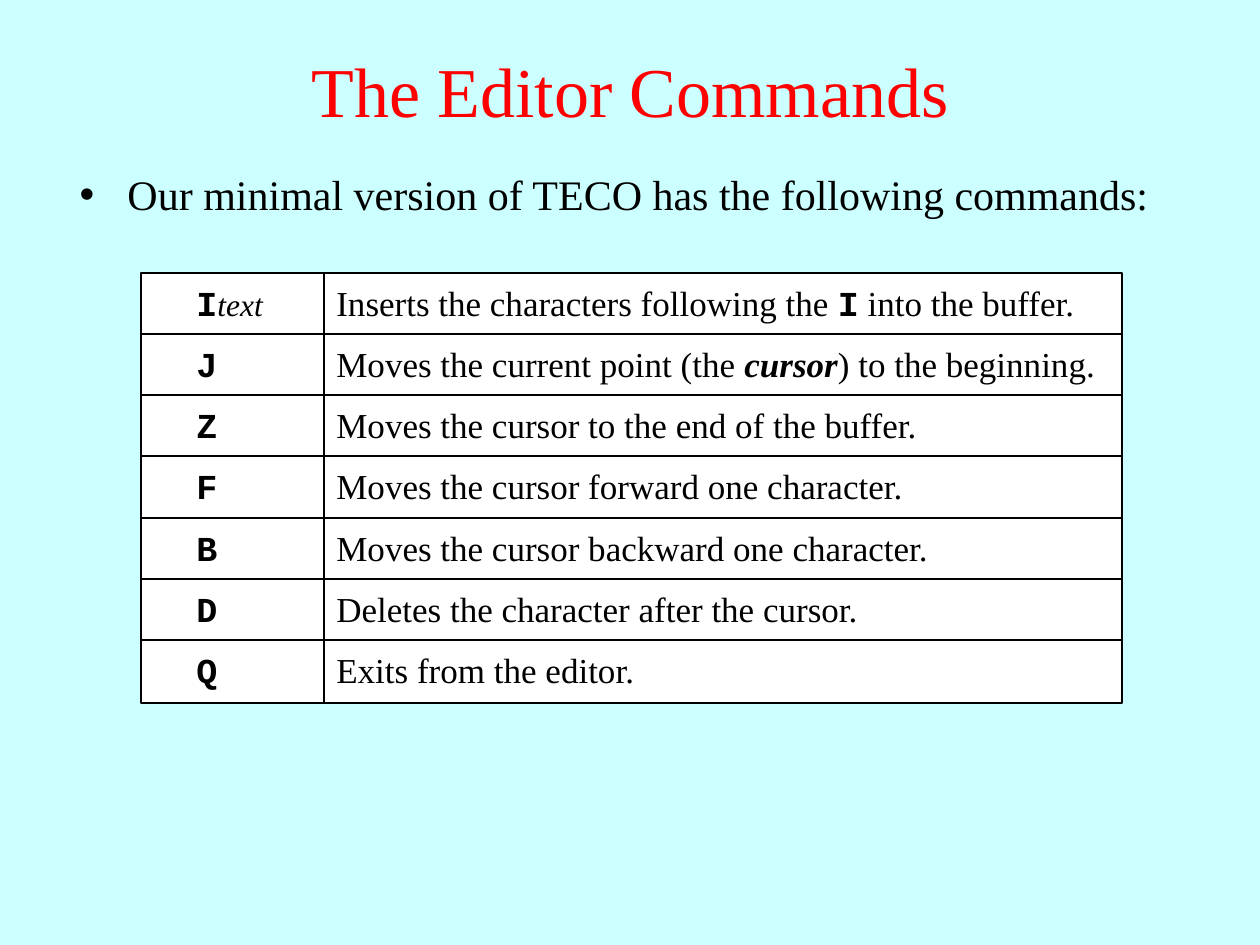
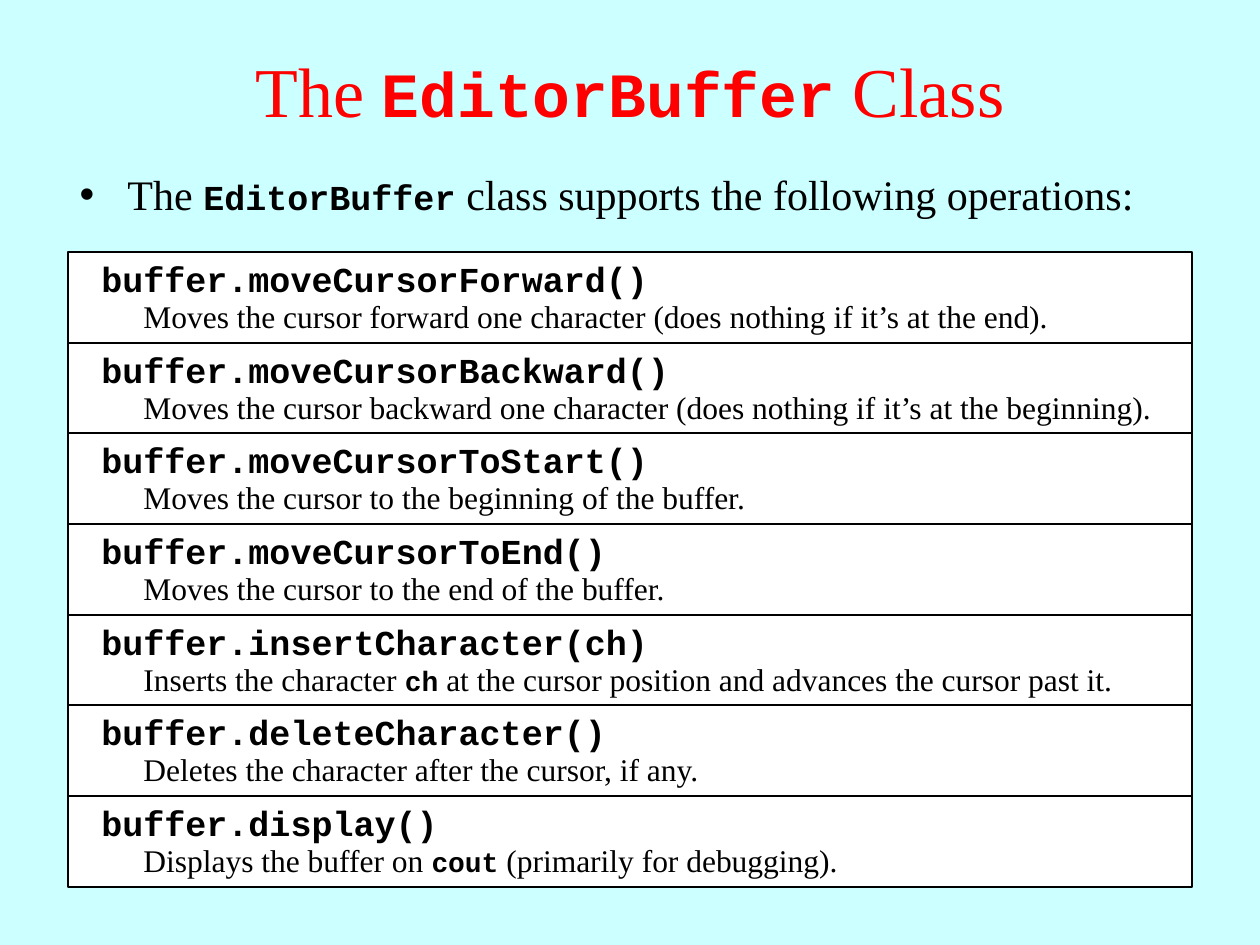
from dataclasses import dataclass

from pptx import Presentation
from pptx import util as u
from pptx.dml.color import RGBColor
from pptx.enum import shapes, text

PX = u.Inches(1) / 126


@dataclass(frozen=True)
class Theme:
    background: str = "CCFFFF"
    title: str = "FF0000"
    ink: str = "000000"
    cell: str = "FFFFFF"
    serif: str = "Times New Roman"
    mono: str = "Courier New"
    title_size: int = 40
    title_code_size: int = 36
    bullet_size: int = 24
    cell_size: int = 20
    detail_size: int = 18
    detail_code_size: int = 16


THEME = Theme()


def px(*lengths):
    return [u.Emu(round(length * PX)) for length in lengths]


def code(words, size=THEME.cell_size):
    return words, {"font": THEME.mono, "size": size, "bold": True}


COMMANDS = [
    ([code("I"), ("text", {"size": THEME.detail_size, "italic": True})],
     ["Inserts the characters following the ", code("I"), " into the buffer."]),
    ([code("J")],
     ["Moves the current point (the ", ("cursor", {"bold": True, "italic": True}),
      ") to the beginning."]),
    ([code("Z")], ["Moves the cursor to the end of the buffer."]),
    ([code("F")], ["Moves the cursor forward one character."]),
    ([code("B")], ["Moves the cursor backward one character."]),
    ([code("D")], ["Deletes the character after the cursor."]),
    ([code("Q")], ["Exits from the editor."]),
]

OPERATIONS = [
    ("buffer.moveCursorForward()",
     ["Moves the cursor forward one character (does nothing if it’s at the end)."]),
    ("buffer.moveCursorBackward()",
     ["Moves the cursor backward one character (does nothing if it’s at the beginning)."]),
    ("buffer.moveCursorToStart()", ["Moves the cursor to the beginning of the buffer."]),
    ("buffer.moveCursorToEnd()", ["Moves the cursor to the end of the buffer."]),
    ("buffer.insertCharacter(ch)",
     ["Inserts the character ", code("ch", THEME.detail_code_size),
      " at the cursor position and advances the cursor past it."]),
    ("buffer.deleteCharacter()", ["Deletes the character after the cursor, if any."]),
    ("buffer.display()",
     ["Displays the buffer on ", code("cout", THEME.detail_code_size),
      " (primarily for debugging)."]),
]


def write(box, spans, size, color=THEME.ink, align=text.PP_ALIGN.LEFT, line_spacing=1.0):
    """Fill the box with one paragraph; a span is plain text or (text, format changes)."""
    para = box.text_frame.paragraphs[0]
    para.alignment = align
    para.line_spacing = line_spacing
    para.space_before = u.Pt(0)
    for item in spans:
        words, changes = (item, {}) if isinstance(item, str) else item
        span = para.add_run()
        span.text = words
        span.font.name = changes.get("font", THEME.serif)
        span.font.size = u.Pt(changes.get("size", size))
        span.font.bold = changes.get("bold", False)
        span.font.italic = changes.get("italic", False)
        span.font.color.rgb = RGBColor.from_string(color)
    return para


def place(box, left, top, width, height):
    box.left, box.top, box.width, box.height = px(left, top, width, height)


def add_page(deck, title_spans, bullet_spans):
    page = deck.slides.add_slide(deck.slide_layouts[1])
    title, body = page.placeholders
    place(title, 0, 10, 1260, 158)
    title.text_frame.vertical_anchor = text.MSO_ANCHOR.MIDDLE
    write(title, title_spans, THEME.title_size, color=THEME.title,
          align=text.PP_ALIGN.CENTER)
    place(body, 67, 170, 1125, 93)
    para = write(body, bullet_spans, THEME.bullet_size,
                 align=text.PP_ALIGN.JUSTIFY, line_spacing=0.85)
    indent = u.Inches(0.38)
    properties = para._p.get_or_add_pPr()
    properties.set("marL", str(indent))
    properties.set("indent", str(-indent))
    for box in (title, body):
        box.text_frame.auto_size = text.MSO_AUTO_SIZE.NONE
    return page


def add_cell(holder, left, top, width, height):
    cell = holder.shapes.add_shape(shapes.MSO_SHAPE.RECTANGLE,
                                   *px(left, top, width, height))
    cell.shadow.inherit = False
    cell.fill.solid()
    cell.fill.fore_color.rgb = RGBColor.from_string(THEME.cell)
    cell.line.color.rgb = RGBColor.from_string(THEME.ink)
    cell.line.width = u.Pt(0.75)


def add_label(holder, left, top, width, height, spans, size=THEME.cell_size):
    box = holder.shapes.add_textbox(*px(left, top, width, height))
    box.text_frame.word_wrap = True
    box.text_frame.auto_size = text.MSO_AUTO_SIZE.SHAPE_TO_FIT_TEXT
    write(box, spans, size)


def with_tops(rows, first, last):
    """Pair each row with its top, spread evenly from first to last."""
    step = (last - first) / (len(rows) - 1)
    return [(round(first + index * step), row) for index, row in enumerate(rows)]


def add_command_row(page, top, command, meaning):
    add_cell(page, 141, top, 183, 63)
    add_label(page, 184, top + 2, 100, 54, command)
    add_cell(page, 324, top, 798, 63)
    add_label(page, 324, top + 2, 795, 54, meaning)


def add_operation_row(page, top, call, effect):
    group = page.shapes.add_group_shape()
    add_cell(group, 68, top, 1124, 91)
    add_label(group, 89, top - 1, 1081, 54, [code(call)])
    add_label(group, 131, top + 39, 1050, 50, effect, size=THEME.detail_size)


def main():
    deck = Presentation()
    deck.slide_width, deck.slide_height = px(1260, 945)
    fill = deck.slide_master.background.fill
    fill.solid()
    fill.fore_color.rgb = RGBColor.from_string(THEME.background)

    page = add_page(deck, ["The Editor Commands"],
                    ["Our minimal version of TECO has the following commands:"])
    for top, (command, meaning) in with_tops(COMMANDS, 273, 640):
        add_command_row(page, top, command, meaning)

    page = add_page(deck,
                    ["The ", code("EditorBuffer", THEME.title_code_size), " Class"],
                    ["The ", code("EditorBuffer"),
                     " class supports the following operations:"])
    for top, (call, effect) in with_tops(OPERATIONS, 252, 796):
        add_operation_row(page, top, call, effect)

    deck.save("out.pptx")


if __name__ == "__main__":
    main()
